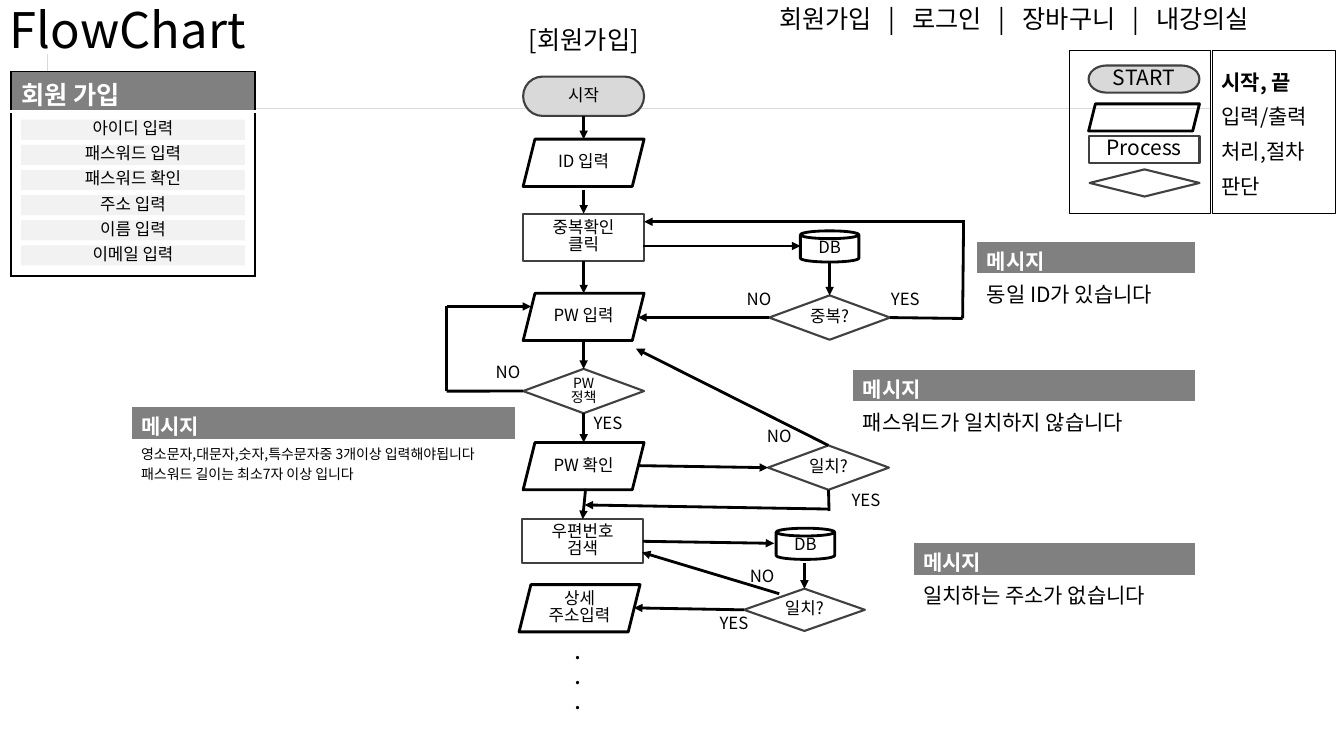
from lxml import etree
from pptx import Presentation
from pptx.dml.color import RGBColor
from pptx.enum.shapes import MSO_CONNECTOR as CONNECTOR, MSO_SHAPE as SHAPE
from pptx.enum.text import MSO_ANCHOR as ANCHOR, PP_ALIGN as ALIGN
from pptx.oxml.ns import qn
from pptx.util import Pt

FONT = "Noto Sans CJK KR"
BLACK = RGBColor(0x00, 0x00, 0x00)
WHITE = RGBColor(0xFF, 0xFF, 0xFF)
DARK = RGBColor(0x40, 0x40, 0x40)
GRAY = RGBColor(0x80, 0x80, 0x80)
SILVER = RGBColor(0xD9, 0xD9, 0xD9)
PALE = RGBColor(0xF2, 0xF2, 0xF2)
TOP, LEFT, BOTTOM, RIGHT = range(4)
NODE_WIDTH = 86.4
TIGHT = 0.82


def write(frame, text, size=12, color=BLACK, bold=False, align=ALIGN.LEFT, spacing=TIGHT):
    frame.word_wrap = True
    for index, line in enumerate(text.split("\n")):
        paragraph = frame.add_paragraph() if index else frame.paragraphs[0]
        paragraph.alignment = align
        paragraph.line_spacing = spacing
        run = paragraph.add_run()
        run.text = line
        run.font.size = Pt(size)
        run.font.bold = bold
        run.font.color.rgb = color
        run.font.name = FONT
        properties = run._r.get_or_add_rPr()
        etree.SubElement(properties, qn("a:ea")).set("typeface", FONT)


def add_label(slide, text, left, top, width, height, anchor=ANCHOR.TOP, **style):
    box = slide.shapes.add_textbox(Pt(left), Pt(top), Pt(width), Pt(height))
    box.text_frame.vertical_anchor = anchor
    write(box.text_frame, text, **style)


def add_node(slide, kind, left, top, width, height, text="", fill=None,
             line=BLACK, weight=2, **style):
    shape = slide.shapes.add_shape(kind, Pt(left), Pt(top), Pt(width), Pt(height))
    shape.shadow.inherit = False
    if fill is None:
        shape.fill.background()
    else:
        shape.fill.solid()
        shape.fill.fore_color.rgb = fill
    if line is None:
        shape.line.fill.background()
    else:
        shape.line.color.rgb = line
        shape.line.width = Pt(weight)
    if text:
        frame = shape.text_frame
        frame.margin_left = frame.margin_right = frame.margin_top = frame.margin_bottom = 0
        frame.vertical_anchor = ANCHOR.MIDDLE
        write(frame, text, align=ALIGN.CENTER, **style)
    return shape


def add_terminator(slide, left, top, width, height, text, **style):
    return add_node(slide, SHAPE.FLOWCHART_TERMINATOR, left, top, width, height, text,
                    SILVER, DARK, 1.5, **style)


def add_process(slide, left, top, width, height, text, **style):
    return add_node(slide, SHAPE.FLOWCHART_PROCESS, left, top, width, height, text,
                    WHITE, DARK, 1.5, **style)


def add_decision(slide, left, top, width, height, text="", **style):
    return add_node(slide, SHAPE.FLOWCHART_DECISION, left, top, width, height, text,
                    WHITE, DARK, 1.5, **style)


def add_input(slide, left, top, text):
    return add_node(slide, SHAPE.PARALLELOGRAM, left, top, NODE_WIDTH, 33.8, text)


def add_database(slide, left, top):
    return add_node(slide, SHAPE.CAN, left, top, 41.8, 22.3, "DB", WHITE)


def add_line(slide, begin, end, arrow=True):
    start, finish = [(0, 0) if hasattr(spot[0], "shape_id") else spot for spot in (begin, end)]
    line = slide.shapes.add_connector(
        CONNECTOR.STRAIGHT, Pt(start[0]), Pt(start[1]), Pt(finish[0]), Pt(finish[1]))
    if start is not begin:
        line.begin_connect(*begin)
    if finish is not end:
        line.end_connect(*end)
    line.line.color.rgb = BLACK
    line.line.width = Pt(2)
    if arrow:
        etree.SubElement(line.line._get_or_add_ln(), qn("a:tailEnd")).set("type", "triangle")
    etree.SubElement(line._element.spPr, qn("a:effectLst"))


def add_grid(slide, left, top, width, heights):
    frame = slide.shapes.add_table(
        len(heights), 1, Pt(left), Pt(top), Pt(width), Pt(sum(heights)))
    table = frame.table
    table.first_row = table.horz_banding = False
    for row, height in zip(table.rows, heights):
        row.height = Pt(height)
    return [table.cell(index, 0) for index in range(len(heights))]


def fill_cell(cell, text="", fill=None, borders=(), **style):
    cell.margin_top, cell.margin_bottom = Pt(3), 0
    for side, color, weight in borders:
        edge = etree.SubElement(cell._tc.get_or_add_tcPr(), qn(f"a:ln{side}"))
        edge.set("w", str(Pt(weight)))
        paint = etree.SubElement(edge, qn("a:solidFill"))
        etree.SubElement(paint, qn("a:srgbClr")).set("val", str(color))
    if fill is None:
        cell.fill.background()
    else:
        cell.fill.solid()
        cell.fill.fore_color.rgb = fill
    if text:
        write(cell.text_frame, text, spacing=1.0, **style)


def add_message(slide, left, top, width, text, size=15):
    header, body = add_grid(slide, left, top, width, (23.6, 32))
    fill_cell(header, "메시지", GRAY, size=15, color=WHITE, bold=True)
    fill_cell(body, text, WHITE, size=size)


def add_heading(slide):
    rule, = add_grid(slide, 33.8, 38.9, 832.3, (38.2,))
    fill_cell(rule, borders=[("L", SILVER, 0.25), ("B", SILVER, 0.25)])
    add_label(slide, "FlowChart", 0, 0, 297.4, 48.2, ANCHOR.MIDDLE, size=35)
    add_label(slide, "[회원가입]", 370.8, 18, 131.8, 28.8, size=18)
    add_label(slide, "회원가입   |   로그인   |   장바구니   |   내강의실",
              549.4, 2.9, 425.5, 28.8, size=18)


def add_legend(slide):
    add_node(slide, SHAPE.PARALLELOGRAM, 777.6, 74.2, 79.2, 19.4)
    add_terminator(slide, 777.6, 46.8, 79.2, 19.4, "START", size=15)
    add_process(slide, 777.6, 97.2, 79.2, 19.4, "Process", size=15)
    add_decision(slide, 778.3, 121, 78.5, 19.4)
    names = ("시작, 끝", "입력/출력", "처리,절차", "판단")
    for index, cell in enumerate(add_grid(slide, 865.4, 43.9, 89.3, (25,) * len(names))):
        fill_cell(cell, names[index], size=15, bold=index == 0)
    for left, width in ((763.9, 100.8), (866.2, 87.8)):
        add_node(slide, SHAPE.RECTANGLE, left, 36, width, 116.6, weight=1)


def add_signup_form(slide):
    header, body = add_grid(slide, 7.9, 51.1, 174.2, (28.5, 117.5))
    sides = [("L", BLACK, 1), ("R", BLACK, 1)]
    fill_cell(header, "회원 가입", GRAY, sides + [("T", BLACK, 1), ("B", WHITE, 3)],
              size=18, color=WHITE, bold=True)
    fill_cell(body, borders=sides + [("T", WHITE, 3), ("B", BLACK, 1)])
    fields = ("아이디 입력", "패스워드 입력", "패스워드 확인", "주소 입력", "이름 입력", "이메일 입력")
    for index, field in enumerate(fields):
        add_node(slide, SHAPE.RECTANGLE, 15.1, 85.5 + 17.95 * index, 159.8, 14.4,
                 field, PALE, None)


def add_flow(slide):
    start = add_terminator(slide, 373.7, 54.7, NODE_WIDTH, 28.1, "시작")
    add_input(slide, 373.7, 99.4, "ID 입력")
    check = add_process(slide, 373.7, 152.6, NODE_WIDTH, 33.8, "중복확인\n클릭")
    add_input(slide, 373.7, 209.5, "PW 입력")
    policy = add_decision(slide, 373.7, 263.5, NODE_WIDTH, 31.7, "PW\n정책", size=10)
    add_input(slide, 373.7, 316.1, "PW 확인")
    postcode = add_process(slide, 373, 370.8, NODE_WIDTH, 31.7, "우편번호\n검색")
    add_input(slide, 370.8, 417.6, "상세\n주소입력")
    add_database(slide, 571.7, 164.9)
    duplicate = add_decision(slide, 549.4, 211, NODE_WIDTH, 31.7, "중복?")
    match = add_decision(slide, 548.6, 318.2, NODE_WIDTH, 31.7, "일치?")
    add_database(slide, 554.4, 377.3)
    address = add_decision(slide, 531.4, 420.5, NODE_WIDTH, 30.2, "일치?")

    arrows = (
        ((start, BOTTOM), (416.9, 99.4)),
        ((416.9, 135.4), (check, TOP)),
        ((459.4, 175.7), (571.7, 175.7)),
        ((592.6, 186.5), (duplicate, TOP)),
        ((duplicate, LEFT), (455.8, 226.8)),
        ((check, BOTTOM), (416.9, 209.5)),
        ((689, 158.4), (460.1, 158.4)),
        ((416.9, 243.4), (policy, TOP)),
        ((319, 218.9), (379.4, 218.9)),
        ((policy, BOTTOM), (416.9, 316.1)),
        ((455.8, 332.6), (match, LEFT)),
        ((match, TOP), (454.3, 249.1)),
        ((591.8, 363.6), (417.6, 360.7)),
        ((418.3, 349.2), (postcode, TOP)),
        ((postcode, RIGHT), (553, 388.1)),
        ((574.6, 402.5), (address, TOP)),
        ((address, LEFT), (452.9, 434.2)),
        ((556.6, 424.1), (458.6, 394.6)),
    )
    for begin, end in arrows:
        add_line(slide, begin, end)
    for begin, end in (
        ((policy, LEFT), (319, 279.4)),
        ((319, 279.4), (319, 218.9)),
        ((duplicate, RIGHT), (687.6, 227.5)),
        ((687.6, 227.5), (688.3, 158.4)),
        ((match, BOTTOM), (592.2, 365)),
    ):
        add_line(slide, begin, end, arrow=False)

    for text, left, top in (
        ("NO", 526.3, 205.5), ("YES", 629.3, 205.5),
        ("YES", 416.9, 294), ("NO", 347, 257.3),
        ("YES", 601.2, 348.8), ("NO", 540.7, 303.4),
        ("YES", 506.9, 436.6), ("NO", 528.5, 402.8),
    ):
        add_label(slide, text, left, top, 56.9, 21.6)
    add_label(slide, ".\n.\n.", 403.2, 453.6, 131.8, 72.7, size=18)


def main():
    presentation = Presentation()
    presentation.slide_width, presentation.slide_height = Pt(960), Pt(540)
    slide = presentation.slides.add_slide(presentation.slide_layouts[6])
    add_heading(slide)
    add_legend(slide)
    add_signup_form(slide)
    add_flow(slide)
    add_message(slide, 697.7, 172.1, 156.2, "동일 ID가 있습니다")
    add_message(slide, 93.6, 290.2, 275, "영소문자,대문자,숫자,특수문자중 3개이상 입력해야됩니다\n"
                "패스워드 길이는 최소7자 이상 입니다", size=10)
    add_message(slide, 609.1, 263.5, 244.8, "패스워드가 일치하지 않습니다")
    add_message(slide, 652.3, 387.4, 201.6, "일치하는 주소가 없습니다")
    presentation.save("out.pptx")


if __name__ == "__main__":
    main()
